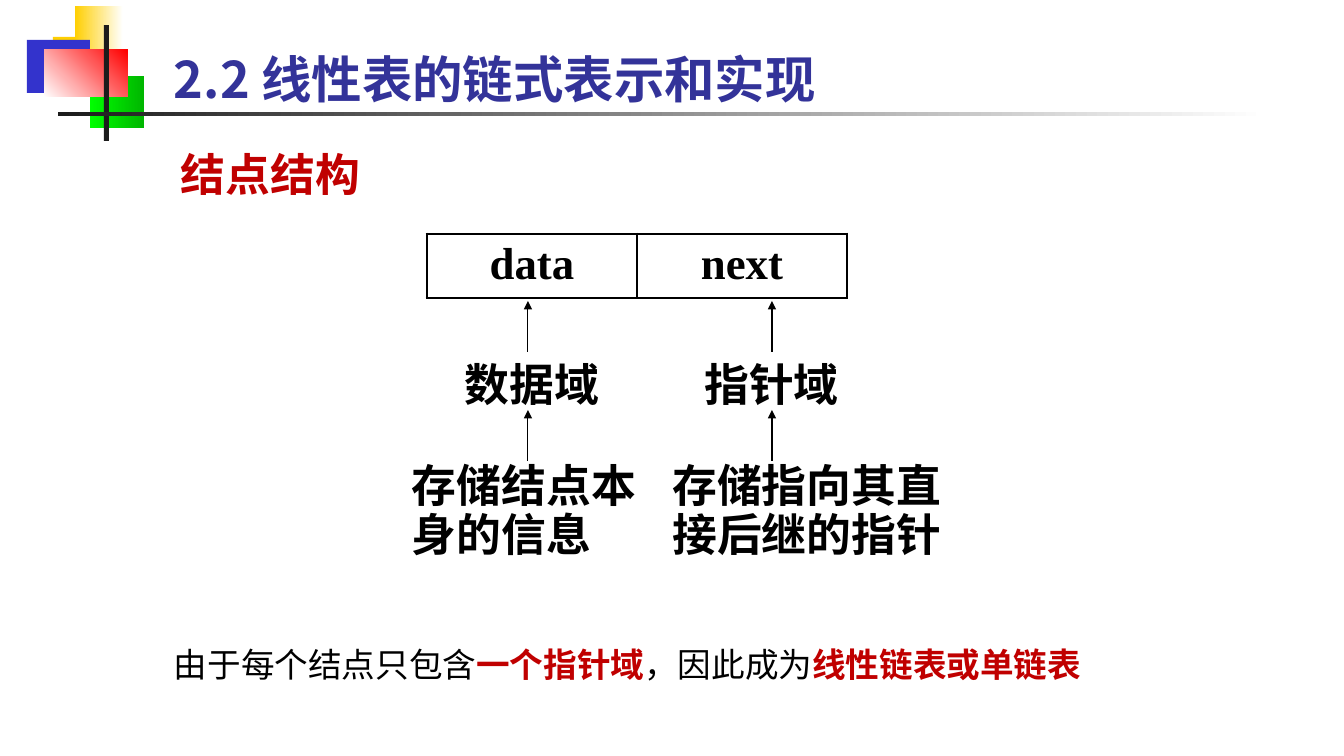
"""Build the slide on the node structure of a linked list."""
from lxml.etree import SubElement
from pptx import Presentation
from pptx.dml.color import RGBColor
from pptx.enum.shapes import MSO_CONNECTOR, MSO_SHAPE
from pptx.enum.text import MSO_ANCHOR, PP_ALIGN
from pptx.oxml import parse_xml
from pptx.oxml.ns import nsdecls, qn
from pptx.util import Pt

PX = 914400 / 100.8
CJK, SERIF = "Noto Sans CJK SC", "Times New Roman"
BLACK = RGBColor(0, 0, 0)
WHITE = RGBColor(255, 255, 255)
INK = RGBColor(0x1C, 0x1C, 0x1C)
YELLOW = RGBColor(0xFF, 0xCF, 0x01)
BLUE = RGBColor(0x33, 0x33, 0xCC)
LIME = RGBColor(0, 0xFF, 0)
GREEN = RGBColor(0, 0xB6, 0)
RED = RGBColor(255, 0, 0)
TITLE_BLUE = RGBColor(0x33, 0x33, 0x99)
DARK_RED = RGBColor(0xC0, 0, 0)


def px(*lengths):
    return [round(n * PX) for n in lengths]


def add_text(box, lines, size=32, latin=SERIF, color=BLACK, bold=True,
             align=PP_ALIGN.LEFT, anchor=MSO_ANCHOR.TOP, wrap=True):
    tf = s.shapes.add_textbox(*px(*box)).text_frame
    tf.word_wrap = wrap
    tf.vertical_anchor = anchor
    for i, line in enumerate(lines):
        p = tf.add_paragraph() if i else tf.paragraphs[0]
        p.alignment = align
        if i:
            p.line_spacing = 0.4
            p.space_before = Pt(16)
        if line:
            p.add_run().text = line
        f = p.font
        f.size, f.name, f.bold = Pt(size), latin, bold
        f.color.rgb = color
        SubElement(p._p.pPr.find(qn("a:defRPr")), qn("a:ea"), typeface=CJK)
    return tf


prs = Presentation()
prs.slide_width, prs.slide_height = px(1344, 756)
s = prs.slides.add_slide(prs.slide_layouts[6])

decorations = [
    ((53, 37, 65, 53), [YELLOW], 0),
    ((75, 6, 48, 53), [YELLOW, WHITE], 0),
    ((27, 40, 63, 53), [BLUE], 0),
    ((90, 76, 54, 52), [LIME, GREEN], 0),
    ((44, 50, 84, 47), [WHITE, RED], 45),
    ((104, 25, 5, 116), [INK], 0),
    ((58, 112, 1209, 4), [INK, WHITE], 0),
]
for box, colors, angle in decorations:
    sp = s.shapes.add_shape(MSO_SHAPE.RECTANGLE, *px(*box))
    sp.shadow.inherit = False
    sp.line.fill.background()
    if len(colors) == 1:
        sp.fill.solid()
        sp.fill.fore_color.rgb = colors[0]
    else:
        sp.fill.gradient()
        sp.fill.gradient_angle = angle
        for stop, color, position in zip(sp.fill.gradient_stops, colors, (0, 1)):
            stop.color.rgb = color
            stop.position = position

add_text((164, 30, 1145, 84), ["2.2 线性表的链式表示和实现"], 36, CJK, TITLE_BLUE,
         anchor=MSO_ANCHOR.BOTTOM)
tf = add_text((171, 148, 915, 76), ["结点结构"], latin=CJK, color=DARK_RED)
tf.paragraphs[0].line_spacing = 0.9

table = s.shapes.add_table(1, 2, *px(427, 234, 420, 64)).table
table.first_row = table.horz_banding = False
for col, (field, borders) in enumerate([
        ("data", {"L": 2.25, "R": 1, "T": 2.25, "B": 2.25}),
        ("next", {"L": 1, "R": 2.25, "T": 2.25, "B": 2.25})]):
    cell = table.cell(0, col)
    cell.text = field
    p = cell.text_frame.paragraphs[0]
    p.alignment = PP_ALIGN.CENTER
    p.font.size, p.font.name, p.font.bold = Pt(32), SERIF, True
    p.font.color.rgb = BLACK
    tcPr = cell._tc.get_or_add_tcPr()
    for side, width in borders.items():
        tcPr.append(parse_xml(
            f'<a:ln{side} {nsdecls("a")} w="{Pt(width)}"><a:solidFill>'
            f'<a:srgbClr val="{BLACK}"/></a:solidFill></a:ln{side}>'))
    cell.fill.background()

add_text((444, 352, 176, 64), ["数据域"], align=PP_ALIGN.CENTER)
add_text((679, 352, 185, 64), ["指针域"], align=PP_ALIGN.CENTER)
add_text((402, 453, 263, 112), ["存储结点本", "身的信息"])
add_text((662, 453, 290, 112), ["存储指向其直", "接后继的指针"],
         align=PP_ALIGN.CENTER, wrap=False)

for x in (528, 772):
    for y in (352, 461):
        arrow = s.shapes.add_connector(MSO_CONNECTOR.STRAIGHT, *px(x, y, x, y - 51))
        arrow.line.color.rgb = BLACK
        arrow.line.width = Pt(0.75)
        SubElement(arrow.line._get_or_add_ln(), qn("a:tailEnd"), type="triangle")
        SubElement(arrow._element.spPr, qn("a:effectLst"))

p = add_text((164, 639, 989, 50), [""], 24, bold=False).paragraphs[0]
for text, key in [("由于每个结点只包含", False), ("一个指针域", True),
                  ("，因此成为", False), ("线性链表或单链表", True)]:
    r = p.add_run()
    r.text = text
    r.font.bold = key
    r.font.color.rgb = DARK_RED if key else BLACK

prs.save("out.pptx")
